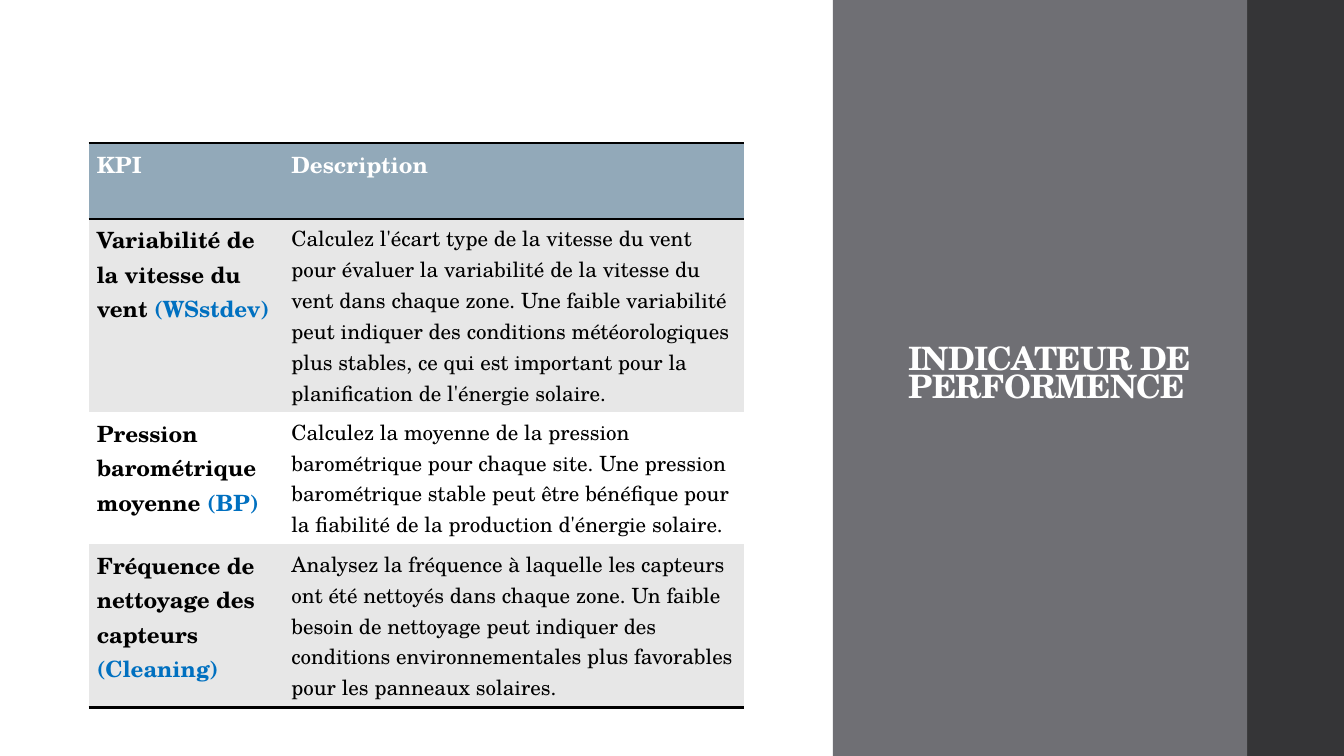
from lxml import etree
from pptx import Presentation
from pptx.dml.color import RGBColor
from pptx.enum.shapes import MSO_SHAPE
from pptx.enum.text import MSO_ANCHOR, MSO_AUTO_SIZE, PP_ALIGN
from pptx.oxml.ns import qn
from pptx.util import Inches, Pt

RECTANGLE = MSO_SHAPE.RECTANGLE
MIDDLE, TOP = MSO_ANCHOR.MIDDLE, MSO_ANCHOR.TOP
LEFT = PP_ALIGN.LEFT
NO_AUTOFIT = MSO_AUTO_SIZE.NONE
WIDTH, HEIGHT = 13.33, 7.5
FONT = "TeX Gyre Schola"
WHITE, BLACK, BLUE = "FFFFFF", "000000", "0070C0"
HEADER_FILL, BAND_FILL = "92A9B9", "E7E7E7"
PANEL_FILL, STRIP_FILL = "6F6F74", "353537"
PLAIN_STYLE = "{2D5ABB26-0587-4C30-8999-92F81FD0307C}"
COLUMNS = (1.93, 4.57)
ROWS = (0.75, 1.92, 1.31, 1.62)

HEADINGS = ("KPI", "Description")
INDICATORS = (
    ("Variabilité de la vitesse du vent ", "(WSstdev)",
     "Calculez l'écart type de la vitesse du vent pour évaluer la variabilité "
     "de la vitesse du vent dans chaque zone. Une faible variabilité peut "
     "indiquer des conditions météorologiques plus stables, ce qui est "
     "important pour la planification de l'énergie solaire."),
    ("Pression barométrique moyenne ", "(BP)",
     "Calculez la moyenne de la pression barométrique pour chaque site. Une "
     "pression barométrique stable peut être bénéfique pour la fiabilité de "
     "la production d'énergie solaire."),
    ("Fréquence de nettoyage des capteurs ", "(Cleaning)",
     "Analysez la fréquence à laquelle les capteurs ont été nettoyés dans "
     "chaque zone. Un faible besoin de nettoyage peut indiquer des conditions "
     "environnementales plus favorables pour les panneaux solaires."),
)


def color(value):
    return RGBColor.from_string(value)


def apply(target, formats):
    for attribute, value in formats.items():
        setattr(target, attribute, value)


def add_run(paragraph, text, size, ink, bold):
    run = paragraph.add_run()
    run.text = text
    apply(run.font, {"name": FONT, "size": Pt(size), "bold": bold})
    run.font.color.rgb = color(ink)
    return run


def add_band(slide, box, fill):
    band = slide.shapes.add_shape(RECTANGLE, *map(Inches, box))
    band.shadow.inherit = False
    band.fill.solid()
    band.fill.fore_color.rgb = color(fill)
    band.line.fill.background()


def add_rule(cell, side):
    properties = cell._tc.get_or_add_tcPr()
    rule = etree.Element(qn("a:" + side), w=str(Pt(2)))
    fill = etree.SubElement(rule, qn("a:solidFill"))
    etree.SubElement(fill, qn("a:srgbClr"), val=BLACK)
    properties.insert(0, rule)


def fill_cell(cell, fill, runs):
    apply(cell, {"margin_left": Inches(0.08), "margin_right": Inches(0.08),
                 "margin_top": Inches(0.04), "margin_bottom": Inches(0.04),
                 "vertical_anchor": TOP})
    cell.fill.solid()
    cell.fill.fore_color.rgb = color(fill)
    for run in runs:
        add_run(cell.text_frame.paragraphs[0], *run)


def add_indicator_table(slide, left, top):
    box = (left, top, sum(COLUMNS), sum(ROWS))
    frame = slide.shapes.add_table(len(ROWS), len(COLUMNS), *map(Inches, box))
    table = frame.table
    table._tbl.tblPr.find(qn("a:tableStyleId")).text = PLAIN_STYLE
    table.horz_banding = False
    for column, width in zip(table.columns, COLUMNS):
        column.width = Inches(width)
    for row, height in zip(table.rows, ROWS):
        row.height = Inches(height)

    for index, heading in enumerate(HEADINGS):
        fill_cell(table.cell(0, index), HEADER_FILL,
                  [(heading, 16, WHITE, True)])
    for index, (label, code, description) in enumerate(INDICATORS, 1):
        fill = BAND_FILL if index % 2 else WHITE
        fill_cell(table.cell(index, 0), fill,
                  [(label, 16, BLACK, True), (code, 16, BLUE, True)])
        fill_cell(table.cell(index, 1), fill,
                  [(description, 15, BLACK, False)])

    for row, side in ((0, "lnB"), (0, "lnT"), (len(INDICATORS), "lnB")):
        for index in range(len(COLUMNS)):
            add_rule(table.cell(row, index), side)


def add_title_panel(slide, left, width):
    add_band(slide, (left, 0, width, HEIGHT), PANEL_FILL)
    title = slide.shapes.title
    slide.shapes._spTree.append(title._element)
    apply(title, {"left": Inches(left + 0.65), "top": Inches(0.88),
                  "width": Inches(3.09), "height": Inches(5.7)})
    apply(title.text_frame, {"word_wrap": True, "vertical_anchor": MIDDLE,
                             "auto_size": NO_AUTOFIT})
    heading = title.text_frame.paragraphs[0]
    apply(heading, {"alignment": LEFT, "line_spacing": 0.72})
    run = add_run(heading, "INDICATEUR DE PERFORMENCE", 23, WHITE, True)
    run.font._element.set("spc", "-50")


def main():
    deck = Presentation()
    apply(deck, {"slide_width": Inches(WIDTH), "slide_height": Inches(HEIGHT)})
    slide = deck.slides.add_slide(deck.slide_layouts.get_by_name("Title Only"))
    add_band(slide, (12.35, 0, WIDTH - 12.35, HEIGHT), STRIP_FILL)
    add_title_panel(slide, 8.26, 4.11)
    add_indicator_table(slide, 0.88, 1.42)
    deck.save("out.pptx")


if __name__ == "__main__":
    main()
